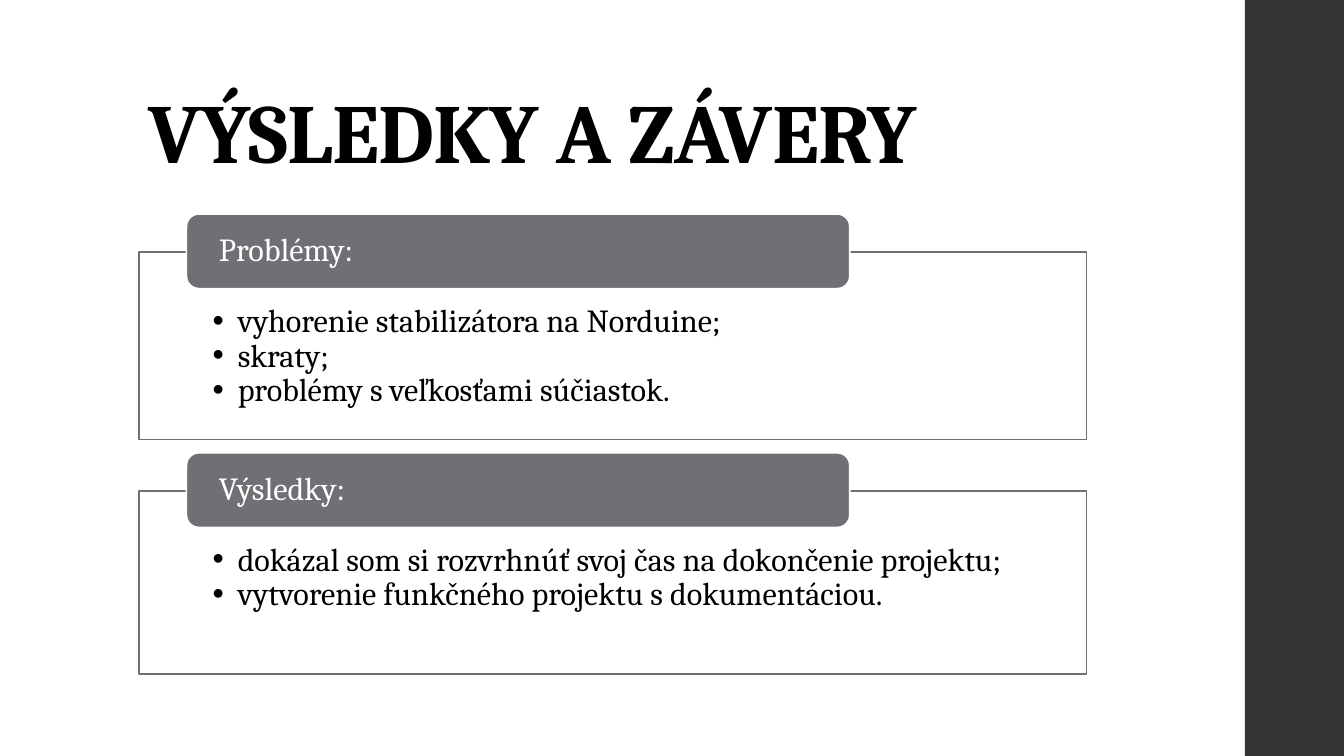
from dataclasses import dataclass

from lxml.etree import SubElement as Sub
from pptx import Presentation
from pptx.dml.color import RGBColor as RGB
from pptx.enum.shapes import MSO_SHAPE as Kind
from pptx.enum.text import MSO_ANCHOR as Anchor, PP_ALIGN as Align
from pptx.oxml.ns import qn
from pptx.util import Pt


@dataclass(frozen=True)
class Theme:
    font: str = "Cambria"
    dark: RGB = RGB(0x35, 0x35, 0x37)
    gray: RGB = RGB(0x6F, 0x6F, 0x74)
    white: RGB = RGB(0xFF, 0xFF, 0xFF)
    black: RGB = RGB(0, 0, 0)
    head: float = 60
    body: float = 23
    line: float = 1.1


THEME = Theme()
WIDE, HIGH = 960, 540
GAP = 36.7
PANELS = [
    ("Problémy:", 133.9, [
        "vyhorenie stabilizátora na Norduine;",
        "skraty;",
        "problémy s veľkosťami súčiastok.",
    ]),
    ("Výsledky:", 131, [
        "dokázal som si rozvrhnúť svoj čas na dokončenie projektu;",
        "vytvorenie funkčného projektu s dokumentáciou.",
    ]),
]


def write(shape, *lines, size=THEME.body, color=THEME.black, bold=False,
          pad=(7.2, 3.6, 7.2, 3.6), anchor=Anchor.TOP, bullet=False, track=0):
    frame = shape.text_frame
    frame.word_wrap = True
    frame.vertical_anchor = anchor
    frame.margin_left, frame.margin_top, frame.margin_right, frame.margin_bottom = map(Pt, pad)
    for num, line in enumerate(lines):
        para = frame.add_paragraph() if num else frame.paragraphs[0]
        para.alignment = Align.LEFT
        para.line_spacing = 0.9
        if bullet:
            props = para._p.get_or_add_pPr()
            props.set("marL", str(Pt(18)))
            props.set("indent", str(-Pt(18)))
            Sub(props, qn("a:buFont")).set("typeface", "Arial")
            Sub(props, qn("a:buChar")).set("char", "•")
        run = para.add_run()
        run.text = line
        font = run.font
        font.name, font.size, font.bold = THEME.font, Pt(size), bold
        font.color.rgb = color
        if track:
            run._r.get_or_add_rPr().set("spc", str(track))


def block(slide, box, fill, line=None, kind=Kind.RECTANGLE):
    shape = slide.shapes.add_shape(kind, *map(Pt, box))
    shape.shadow.inherit = False
    shape.fill.solid()
    shape.fill.fore_color.rgb = fill
    if line is None:
        shape.line.fill.background()
    else:
        shape.line.color.rgb = line
        shape.line.width = Pt(THEME.line)
    return shape


def title(slide, box, text):
    shape = slide.shapes.add_textbox(*map(Pt, box))
    write(shape, text, size=THEME.head, bold=True, anchor=Anchor.BOTTOM, track=-50)


def panel(slide, box, label, items):
    left, top, wide, high = box
    frame = block(slide, box, THEME.white, THEME.gray)
    write(frame, *items, pad=(52.5, 37.5, 52.5, 13), bullet=True)
    tab = (left + 33.84, top - 27.1, wide * 0.7, 53.2)
    tag = block(slide, tab, THEME.gray, THEME.white, Kind.ROUNDED_RECTANGLE)
    write(tag, label, color=THEME.white, pad=(20.6, 0, 20.6, 0), anchor=Anchor.MIDDLE)


def main():
    deck = Presentation()
    deck.slide_width, deck.slide_height = Pt(WIDE), Pt(HIGH)
    slide = deck.slides.add_slide(deck.slide_layouts[6])
    block(slide, (889.2, 0, WIDE - 889.2, HIGH), THEME.dark)
    title(slide, (99.36, 28.8, 763.2, 104.4), "VÝSLEDKY A ZÁVERY")
    top = 180
    for label, high, items in PANELS:
        panel(slide, (99.36, top, 676.8, high), label, items)
        top += high + GAP
    deck.save("out.pptx")


if __name__ == "__main__":
    main()
